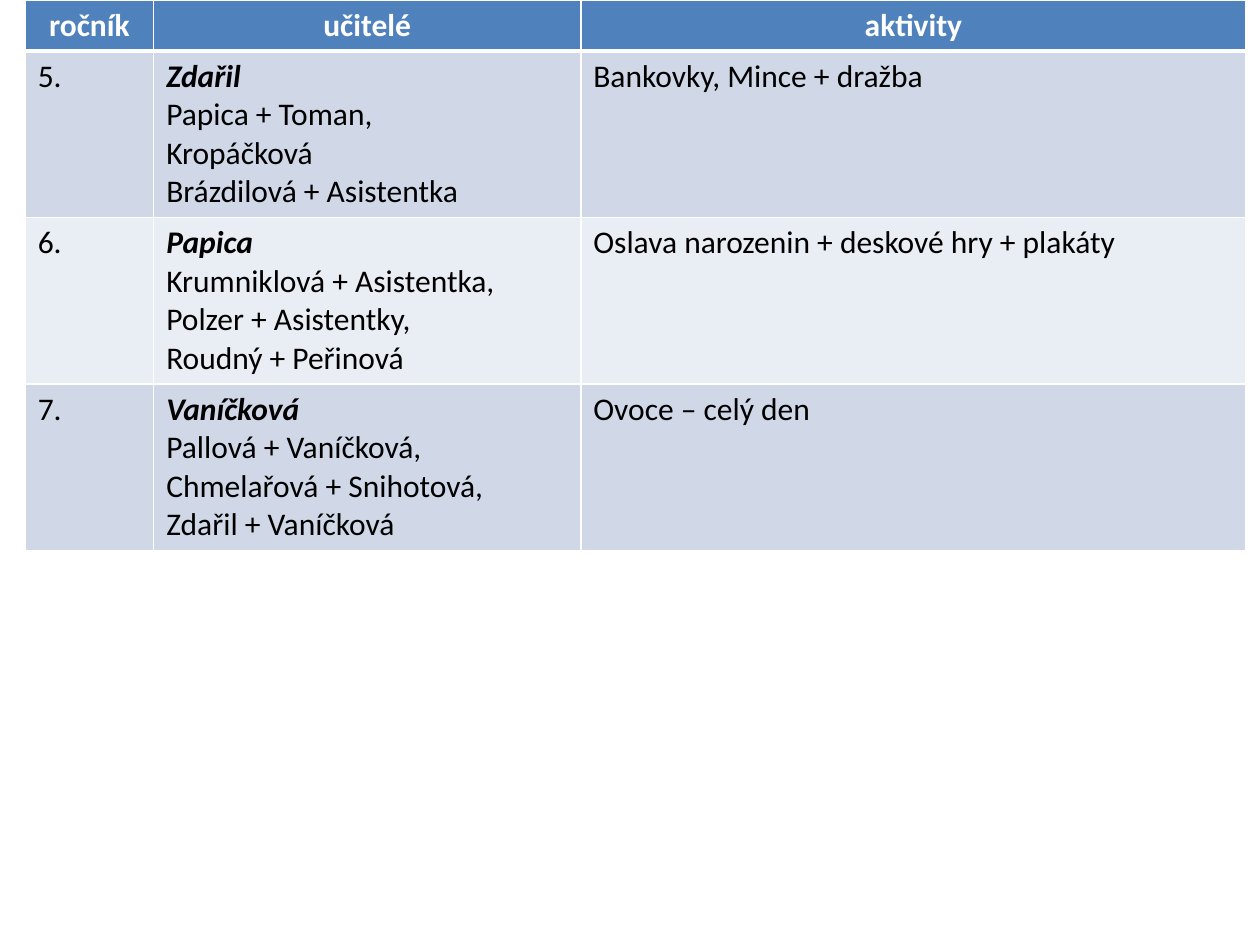
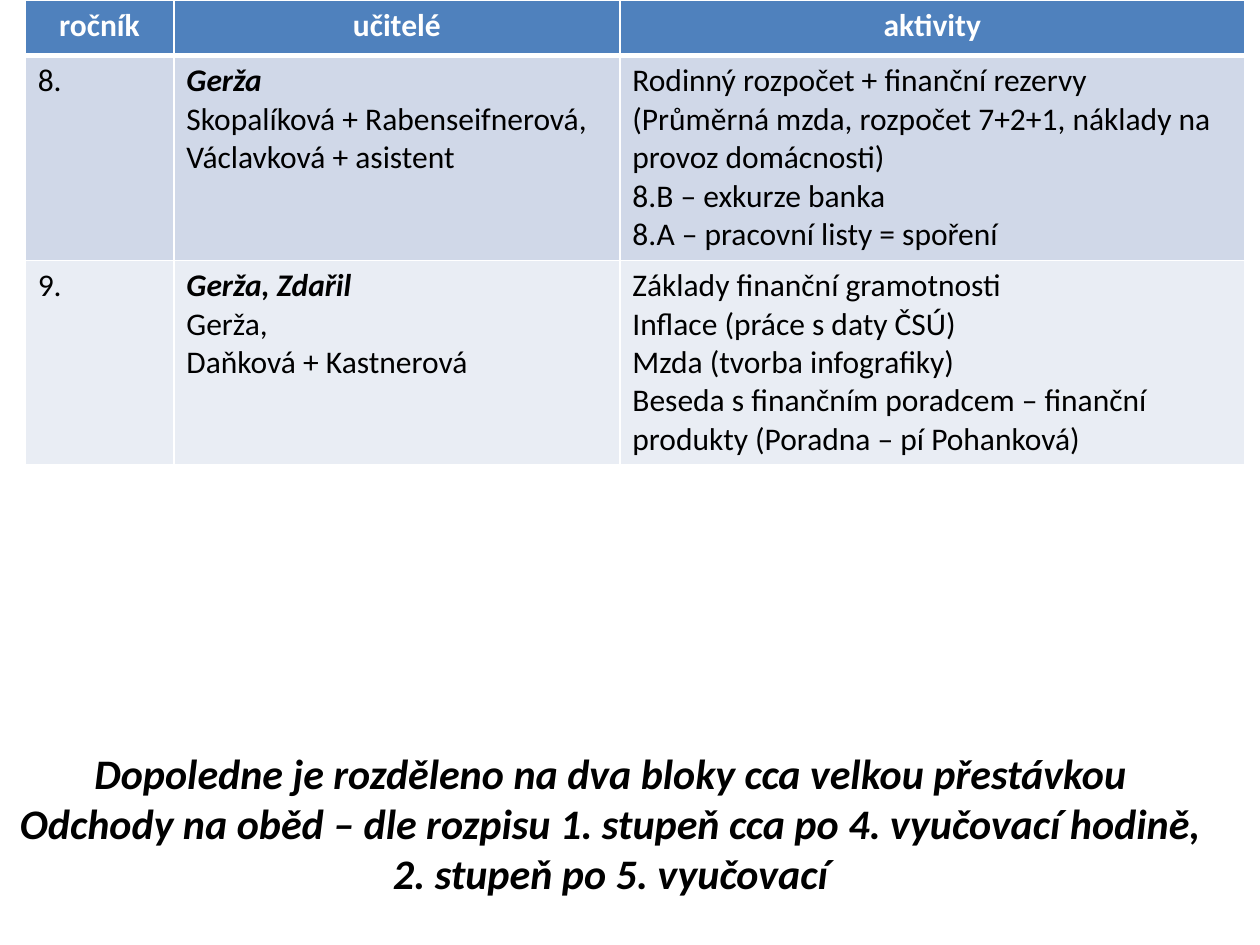
import lxml.etree
import pptx
import pptx.dml.color
import pptx.enum.text
import pptx.oxml.ns
import pptx.util

Inches = pptx.util.Inches
ALIGN = pptx.enum.text.PP_ALIGN
HEADINGS = ["ročník", "učitelé", "aktivity"]


def colour(hex_string):
    return pptx.dml.color.RGBColor.from_string(hex_string)


def write_text(frame, lines, size=18, color="000000", bold=False, italic=False,
               align=None, strong_first=False):
    """Write one paragraph per line; strong_first makes the first bold italic."""
    for index, line in enumerate(lines):
        paragraph = frame.paragraphs[0] if index == 0 else frame.add_paragraph()
        paragraph.text = line
        paragraph.alignment = align
        strong = strong_first and index == 0
        for run in paragraph.runs:
            run.font.name = Style.font
            run.font.size = pptx.util.Pt(size)
            run.font.color.rgb = colour(color)
            run.font.bold = bold or strong
            run.font.italic = italic or strong


def set_borders(cell, color, bottom_width):
    properties = cell._tc.get_or_add_tcPr()
    for side, width in (("L", 1), ("R", 1), ("T", 1), ("B", bottom_width)):
        line = lxml.etree.SubElement(properties, pptx.oxml.ns.qn(f"a:ln{side}"),
                                     w=str(pptx.util.Pt(width)))
        fill = lxml.etree.SubElement(line, pptx.oxml.ns.qn("a:solidFill"))
        lxml.etree.SubElement(fill, pptx.oxml.ns.qn("a:srgbClr"), val=color)


class Style:
    font = "Calibri"
    white = "FFFFFF"
    header = "4F81BD"
    bands = ("D0D8E8", "E9EDF4")

    def __init__(self, presentation):
        self.presentation = presentation
        self.slide = None

    def add_slide(self):
        self.slide = self.presentation.slides.add_slide(
            self.presentation.slide_layouts[6])

    def cell(self, cell, lines, fill, bottom_width=1, **text_format):
        set_borders(cell, self.white, bottom_width)
        cell.fill.solid()
        cell.fill.fore_color.rgb = colour(fill)
        write_text(cell.text_frame, lines, **text_format)

    def schedule(self, column_widths, header_height, row_height, rows):
        """Add the table of years, teachers and activities."""
        table = self.slide.shapes.add_table(
            len(rows) + 1, len(HEADINGS), Inches(0.2), Inches(0),
            Inches(sum(column_widths)),
            Inches(header_height + row_height * len(rows))).table
        table.first_row = table.horz_banding = False
        for column, width in zip(table.columns, column_widths):
            column.width = Inches(width)
        for index, row in enumerate(table.rows):
            row.height = Inches(row_height if index else header_height)

        for column, heading in enumerate(HEADINGS):
            self.cell(table.cell(0, column), [heading], self.header, bottom_width=3,
                      color=self.white, bold=True, align=ALIGN.CENTER)
        for index, (year, teachers, activities) in enumerate(rows):
            band = self.bands[index % 2]
            self.cell(table.cell(index + 1, 0), [year], band)
            self.cell(table.cell(index + 1, 1), teachers, band, strong_first=True)
            self.cell(table.cell(index + 1, 2), activities, band)

    def text_box(self, left, top, width, height, lines, **text_format):
        box = self.slide.shapes.add_textbox(
            Inches(left), Inches(top), Inches(width), Inches(height))
        box.text_frame.word_wrap = True
        write_text(box.text_frame, lines, **text_format)


def main():
    presentation = pptx.Presentation()
    presentation.slide_width = Inches(10)
    presentation.slide_height = Inches(7.5)
    style = Style(presentation)

    style.add_slide()
    style.schedule([1.02, 3.39, 5.28], 0.4, 1.32, [
        ("5.",
         ["Zdařil", "Papica + Toman,", "Kropáčková", "Brázdilová + Asistentka"],
         ["Bankovky, Mince + dražba"]),
        ("6.",
         ["Papica", "Krumniklová + Asistentka, Polzer + Asistentky,",
          "Roudný + Peřinová"],
         ["Oslava narozenin + deskové hry + plakáty"]),
        ("7.",
         ["Vaníčková", "Pallová + Vaníčková,", "Chmelařová + Snihotová,",
          "Zdařil + Vaníčková"],
         ["Ovoce – celý den"]),
    ])

    style.add_slide()
    style.schedule([1.18, 3.54, 4.96], 0.44, 1.62, [
        ("8.",
         ["Gerža", "Skopalíková + Rabenseifnerová,\nVáclavková + asistent"],
         ["Rodinný rozpočet + finanční rezervy",
          "(Průměrná mzda, rozpočet 7+2+1, náklady na provoz domácnosti)\n"
          "8.B – exkurze banka",
          "8.A – pracovní listy = spoření"]),
        ("9.",
         ["Gerža, Zdařil", "Gerža,", "Daňková + Kastnerová"],
         ["Základy finanční gramotnosti",
          "Inflace (práce s daty ČSÚ)",
          "Mzda (tvorba infografiky)\n"
          "Beseda s finančním poradcem – finanční produkty "
          "(Poradna – pí Pohanková)"]),
    ])
    style.text_box(
        0, 5.88, 9.69, 1.31,
        ["Dopoledne je rozděleno na dva bloky cca velkou přestávkou",
         "Odchody na oběd – dle rozpisu 1. stupeň cca po 4. vyučovací hodině, "
         "2. stupeň po 5. vyučovací"],
        size=24, bold=True, italic=True, align=ALIGN.CENTER)

    presentation.save("out.pptx")


if __name__ == "__main__":
    main()
